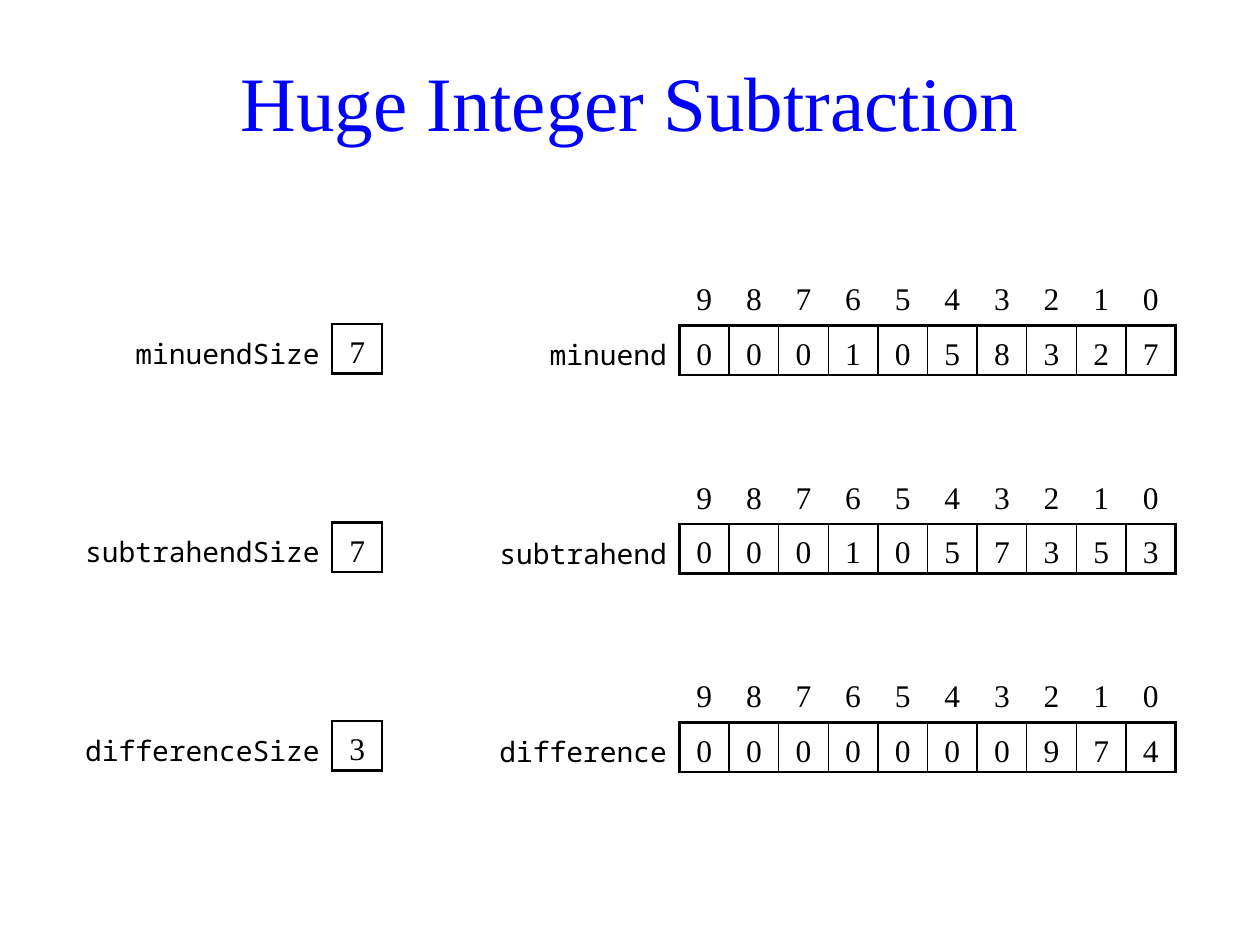
from pptx import Presentation
from pptx.dml.color import RGBColor
from pptx.enum.text import MSO_ANCHOR as Anchor, PP_ALIGN as Align
from pptx.oxml import parse_xml
from pptx.oxml.ns import nsdecls, qn
from pptx.util import Pt

CELL = 28.35  # one digit box, 1 cm
ARRAY_RIGHT, SIZE_RIGHT = 671.8, 218.3
FIRST_TOP, ROW_STEP = 156.8, 4 * CELL
SERIF, MONO = "Times New Roman", "Noto Sans Mono"
NO_STYLE = "{2D5ABB26-0587-4C30-8999-92F81FD0307C}"
BOX = {"L": 1.5, "R": 1.5, "T": 1.5, "B": 1.5}


def add_grid(right, top, label_width, digit_count, row_count):
    """Add an unstyled table: a label column, then square digit columns."""
    width = label_width + digit_count * CELL
    table = slide.shapes.add_table(
        row_count, digit_count + 1, Pt(right - width), Pt(top),
        Pt(width), Pt(row_count * CELL)).table
    table.first_row = table.horz_banding = False
    table._tbl.tblPr.find(qn("a:tableStyleId")).text = NO_STYLE
    for column in table.columns:
        column.width = Pt(CELL)
    table.columns[0].width = Pt(label_width)
    for row in table.rows:
        row.height = Pt(CELL)
    for cell in table.iter_cells():
        cell.fill.background()
    return table


def fill_cell(cell, text, borders, label=False, spacing=1.25):
    """Write a label or a digit; borders maps sides L, R, T, B to widths."""
    cell.vertical_anchor = Anchor.MIDDLE
    cell.margin_left = cell.margin_right = Pt(7.2 if label else 0)
    cell.margin_top = cell.margin_bottom = Pt(0)
    cell.text_frame.text = text
    paragraph = cell.text_frame.paragraphs[0]
    paragraph.alignment = Align.RIGHT if label else Align.CENTER
    paragraph.line_spacing = spacing
    font = paragraph.runs[0].font
    font.name = MONO if label else SERIF
    font.size = Pt(16 if label else 18)
    font.bold = False
    font.color.rgb = RGBColor.from_string("000000")
    properties = cell._tc.get_or_add_tcPr()
    for position, (side, width) in enumerate(borders.items()):
        properties.insert(position, parse_xml(
            f'<a:ln{side} {nsdecls("a")} w="{Pt(width)}"><a:solidFill>'
            f'<a:srgbClr val="000000"/></a:solidFill></a:ln{side}>'))


presentation = Presentation()
presentation.slide_width, presentation.slide_height = Pt(720), Pt(540)
slide = presentation.slides.add_slide(presentation.slide_layouts[5])

# Title
title = slide.shapes.title
title.left, title.top, title.width, title.height = Pt(34), Pt(15), Pt(652), Pt(85)
title.text_frame.text = "Huge Integer Subtraction"
title.text_frame.vertical_anchor = Anchor.MIDDLE
title_paragraph = title.text_frame.paragraphs[0]
title_paragraph.alignment = Align.CENTER
title_font = title_paragraph.runs[0].font
title_font.name, title_font.size = SERIF, Pt(44)
title_font.color.rgb = RGBColor.from_string("0000FF")

# Name, digits, size, and label widths in cells (array, size)
numbers = [
    ("minuend", "0001058327", "7", 3, 4.5),
    ("subtrahend", "0001057353", "7", 4, 5.5),
    ("difference", "0000000974", "3", 4, 5.5),
]

for index, (name, digits, size, array_cells, size_cells) in enumerate(numbers):
    top = FIRST_TOP + index * ROW_STEP

    # Digit array with its indices above
    count = len(digits)
    array = add_grid(ARRAY_RIGHT, top, array_cells * CELL, count, 2)
    fill_cell(array.cell(1, 0), name, {"R": 1.5}, label=True)
    for column, digit in enumerate(digits, start=1):
        fill_cell(array.cell(0, column), str(count - column), {"B": 1.5}, spacing=1)
        borders = {"L": 1.5 if column == 1 else 1,
                   "R": 1.5 if column == count else 1, "T": 1.5, "B": 1.5}
        fill_cell(array.cell(1, column), digit, borders)

    # Size box
    size_box = add_grid(SIZE_RIGHT, top + CELL, size_cells * CELL, 1, 1)
    fill_cell(size_box.cell(0, 0), name + "Size", {"R": 1.5}, label=True)
    fill_cell(size_box.cell(0, 1), size, BOX)

presentation.save("out.pptx")
